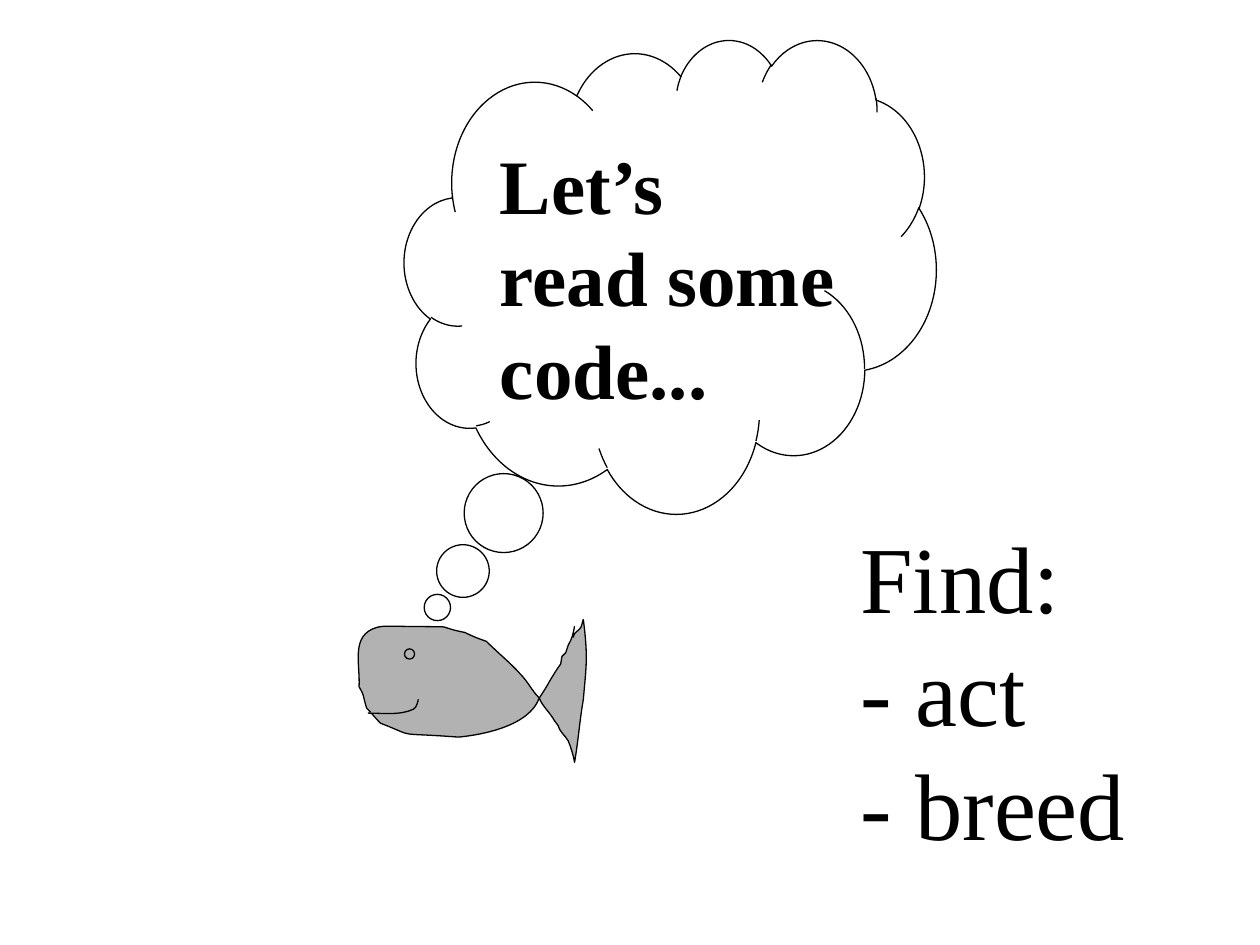
from dataclasses import dataclass

from lxml.etree import SubElement
from pptx import Presentation
from pptx.dml.color import RGBColor
from pptx.enum.shapes import MSO_SHAPE
from pptx.enum.text import MSO_AUTO_SIZE, PP_ALIGN
from pptx.oxml.ns import qn
from pptx.util import Pt


@dataclass(frozen=True)
class Theme:
    ink: RGBColor = RGBColor(0x00, 0x00, 0x00)
    skin: RGBColor = RGBColor(0xB2, 0xB2, 0xB2)
    font: str = "Times New Roman"
    thought_size: float = 44
    task_size: float = 54
    leading: float = 1.2
    outline: float = 0.75


@dataclass(frozen=True)
class Box:
    """A rectangle in points."""
    left: float
    top: float
    width: float
    height: float

    def lengths(self):
        return [Pt(v) for v in (self.left, self.top, self.width, self.height)]


Point = tuple[float, float]
THEME = Theme()
GRID = 0.72  # points per drawing unit of the fish

# A start point, then two control points and an end point for each curve.
FISH_BODY: list[Point] = [
    (456, 497),
    (455, 503), (454, 507), (451, 512),
    (450, 514), (450, 516), (449, 518),
    (448, 519), (447, 520), (446, 521),
    (445, 523), (446, 525), (445, 527),
    (442, 531), (439, 536), (436, 541),
    (434, 545), (428, 554), (428, 554),
    (420, 576), (384, 583), (364, 585),
    (310, 581), (333, 586), (302, 574),
    (298, 570), (295, 566), (291, 562),
    (287, 549), (290, 554), (285, 545),
    (286, 527), (278, 504), (299, 498),
    (302, 497), (306, 497), (309, 497),
    (375, 498), (339, 496), (369, 502),
    (375, 505), (380, 507), (386, 509),
    (395, 518), (405, 526), (413, 535),
    (419, 541), (422, 548), (428, 554),
    (430, 560), (437, 566), (440, 572),
    (441, 573), (443, 576), (443, 576),
    (445, 582), (448, 583), (451, 588),
    (453, 593), (455, 599), (456, 605),
    (459, 588), (460, 572), (463, 555),
    (465, 530), (467, 523), (463, 492),
    (463, 490), (462, 496), (461, 498),
    (459, 501), (455, 502), (455, 506),
]
FISH_MOUTH: list[Point] = [
    (292, 566),
    (304, 566), (317, 568), (328, 563),
    (331, 562), (332, 555), (332, 555),
]


def style(shape, fill: RGBColor | None) -> None:
    shape.shadow.inherit = False
    if fill is None:
        shape.fill.background()
    else:
        shape.fill.solid()
        shape.fill.fore_color.rgb = fill
    shape.line.color.rgb = THEME.ink
    shape.line.width = Pt(THEME.outline)


def bend_segments(shape) -> None:
    """Join every three line segments of a freeform into one cubic curve."""
    outline = shape.element.xpath(".//a:path")[0]
    segments = outline.findall(qn("a:lnTo"))
    for i in range(0, len(segments), 3):
        curve = SubElement(outline, qn("a:cubicBezTo"))
        for segment in segments[i:i + 3]:
            curve.append(segment[0])
            outline.remove(segment)


def draw_curves(shapes, anchors: list[Point]) -> None:
    points = [(Pt(x * GRID), Pt(y * GRID)) for x, y in anchors]
    builder = shapes.build_freeform(*points[0], scale=1.0)
    builder.add_line_segments(points[1:], close=False)
    outline = builder.convert_to_shape()
    bend_segments(outline)
    style(outline, THEME.skin)


def draw_fish(shapes) -> None:
    fish = shapes.add_group_shape().shapes
    draw_curves(fish, FISH_BODY)
    eye = fish.add_shape(MSO_SHAPE.OVAL, *Box(231.1, 370.8, 5.8, 5.8).lengths())
    style(eye, THEME.skin)
    draw_curves(fish, FISH_MOUTH)


def draw_thought_cloud(shapes, box: Box) -> None:
    cloud = shapes.add_shape(MSO_SHAPE.CLOUD_CALLOUT, *box.lengths())
    cloud.adjustments[0] = -0.438
    cloud.adjustments[1] = 0.7
    style(cloud, None)


def add_text(shapes, box: Box, lines: list[str], *, size: float, bold: bool = False) -> None:
    frame = shapes.add_textbox(*box.lengths()).text_frame
    frame.word_wrap = False
    frame.auto_size = MSO_AUTO_SIZE.SHAPE_TO_FIT_TEXT
    frame.margin_left = frame.margin_right = Pt(7.2)
    frame.margin_top = frame.margin_bottom = Pt(3.6)
    for i, line in enumerate(lines):
        paragraph = frame.paragraphs[0] if i == 0 else frame.add_paragraph()
        paragraph.alignment = PP_ALIGN.LEFT
        paragraph.line_spacing = Pt(size * THEME.leading)
        run = paragraph.add_run()
        run.text = line
        run.font.name = THEME.font
        run.font.size = Pt(size)
        run.font.bold = bold
        run.font.color.rgb = THEME.ink


def main() -> None:
    deck = Presentation()
    deck.slide_width, deck.slide_height = Pt(720), Pt(540)
    shapes = deck.slides.add_slide(deck.slide_layouts[6]).shapes
    draw_fish(shapes)
    draw_thought_cloud(shapes, Box(231.12, 22.32, 303.84, 270.72))
    add_text(shapes, Box(278.64, 74.88, 205.92, 165.6),
             ["Let’s", "read some", "code..."], size=THEME.thought_size, bold=True)
    add_text(shapes, Box(484.56, 293.04, 165.6, 201.6),
             ["Find:", "- act", "- breed"], size=THEME.task_size)
    deck.save("out.pptx")


if __name__ == "__main__":
    main()
